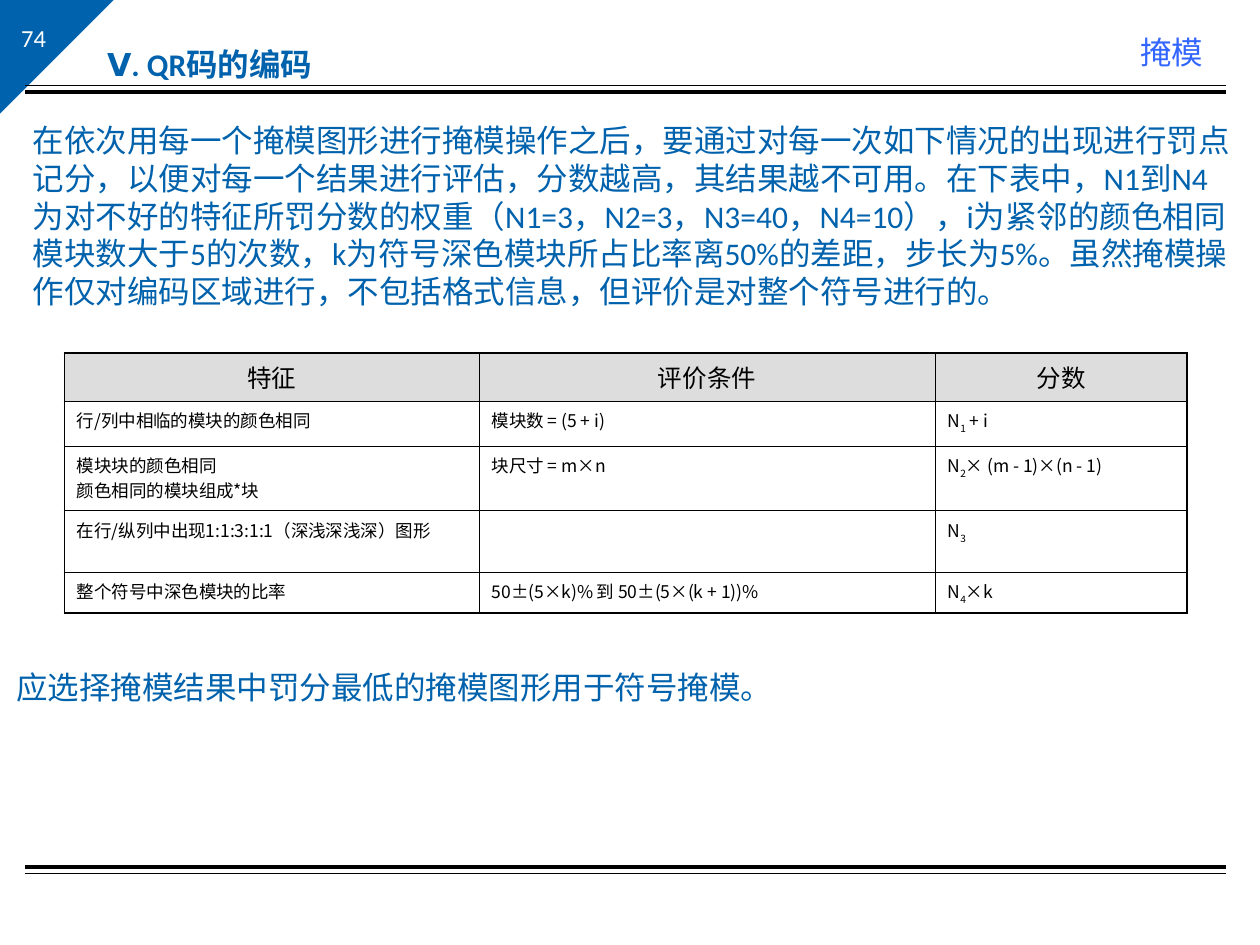
from dataclasses import dataclass

from lxml import etree
from pptx import Presentation
from pptx.dml.color import RGBColor as Rgb
from pptx.enum import shapes as kinds, text as txt
from pptx.oxml import ns
from pptx.util import Pt


@dataclass(frozen=True)
class Theme:
    """Hold the colours, fonts, type sizes and line widths."""
    blue: str = "0062AC"
    tag: str = "3366FF"
    black: str = "000000"
    white: str = "FFFFFF"
    grey: str = "DDDDDD"
    latin: str = "Calibri"
    cjk: str = "Noto Sans CJK SC"
    large: int = 18
    mid: int = 14
    small: int = 10
    thin: float = 0.75
    thick: float = 2.25
    outer: float = 0.96
    inner: float = 0.45


T = Theme()
ROWS = [
    ["特征", "评价条件", "分数"],
    ["行/列中相临的模块的颜色相同", "模块数 = (5 + i)", ("N", "1", " + i")],
    ["模块块的颜色相同\n颜色相同的模块组成*块", "块尺寸 = m×n",
     ("N", "2", "× (m - 1)×(n - 1)")],
    ["在行/纵列中出现1:1:3:1:1（深浅深浅深）图形", "", ("N", "3")],
    ["整个符号中深色模块的比率", "50±(5×k)% 到 50±(5×(k + 1))%",
     ("N", "4", "×k")],
]
BODY = (
    "在依次用每一个掩模图形进行掩模操作之后，要通过对每一次如下情况的出现进行罚点记分，"
    "以便对每一个结果进行评估，分数越高，其结果越不可用。在下表中，N1到N4为对不好的特征"
    "所罚分数的权重（N1=3，N2=3，N3=40，N4=10），i为紧邻的颜色相同模块数大于5的次数，"
    "k为符号深色模块所占比率离50%的差距，步长为5%。虽然掩模操作仅对编码区域进行，"
    "不包括格式信息，但评价是对整个符号进行的。"
)


def tint(hue):
    """Turn a hex string into a colour."""
    return Rgb.from_string(hue)


def add_run(para, words, size, hue, face=T.latin, bold=False, sub=False):
    """Add one styled run to a paragraph."""
    run = para.add_run()
    run.text = words
    font = run.font
    font.size, font.bold, font.name = Pt(size), bold, face
    font.color.rgb = tint(hue)
    props = run._r.get_or_add_rPr()
    etree.SubElement(props, ns.qn("a:ea"), typeface=T.cjk)
    if sub:
        props.set("baseline", "-30000")


def set_box(shape, box):
    """Move a shape to its box."""
    shape.left, shape.top, shape.width, shape.height = map(Pt, box)


def set_text(shape, words, size, hue, mid=False, wrap=True, bold=False):
    """Write one left-aligned paragraph into a shape."""
    frame = shape.text_frame
    frame.auto_size = txt.MSO_AUTO_SIZE.NONE
    frame.word_wrap = wrap
    anchor = txt.MSO_ANCHOR
    frame.vertical_anchor = anchor.MIDDLE if mid else anchor.TOP
    para = frame.paragraphs[0]
    para.alignment = txt.PP_ALIGN.LEFT
    para.space_before = Pt(0)
    add_run(para, words, size, hue, bold=bold)
    return para


def add_note(slide, box, words, size, hue, **style):
    """Add a text box with one paragraph."""
    shape = slide.shapes.add_textbox(*map(Pt, box))
    set_text(shape, words, size, hue, **style)


def add_rule(slide, left, right, y, width):
    """Draw one level line."""
    line = slide.shapes.add_connector(
        kinds.MSO_CONNECTOR.STRAIGHT, Pt(left), Pt(y), Pt(right), Pt(y))
    line.line.color.rgb = tint(T.black)
    line.line.width = Pt(width)
    etree.SubElement(line._element.spPr, ns.qn("a:effectLst"))


def add_frame(slide, box):
    """Draw the page corner and the double rules within a box."""
    left, top, width, height = box
    wedge = slide.shapes.add_shape(
        kinds.MSO_SHAPE.RIGHT_TRIANGLE, Pt(left), Pt(top), Pt(65), Pt(65))
    wedge.shadow.inherit = False
    wedge.fill.solid()
    wedge.fill.fore_color.rgb = tint(T.blue)
    wedge.line.fill.background()
    wedge._element.spPr.xfrm.set("flipV", "1")
    add_note(slide, (left + 5, top + 9.5, 168, 22), "74", T.mid, T.white)
    for y, thick in (49, T.thin), (52.8, T.thick), (495.2, T.thick), (499, T.thin):
        add_rule(slide, left + 14.4, left + width - 19.4, top + y, thick)


def add_head(slide, box):
    """Place the title and the topic tag in the head band."""
    left, top, width, height = box
    title = slide.shapes.title
    set_box(title, (left, top, 379.4, height))
    para = set_text(title, "Ⅴ. QR码的编码", T.large, T.blue, bold=True)
    para.line_spacing = 1.6
    props = para._p.get_or_add_pPr()
    props.set("marL", str(Pt(36)))
    props.set("indent", str(-Pt(36)))
    add_note(slide, (left + width - 50.4, top + 5.7, 50.4, 29),
             "掩模", T.large, T.tag, wrap=False)


def add_body(slide, box):
    """Place the main paragraph without a bullet."""
    body = slide.placeholders[1]
    set_box(body, box)
    para = body.text_frame.paragraphs[0]
    props = para._p.get_or_add_pPr()
    props.set("marL", "0")
    props.set("indent", "0")
    etree.SubElement(props, ns.qn("a:buNone"))
    set_text(body, BODY, T.large, T.blue, mid=True)


def set_edges(cell, sides):
    """Give a cell its four borders, heavy where the table ends."""
    props = cell._tc.get_or_add_tcPr()
    for i, (side, heavy) in enumerate(zip("LRTB", sides)):
        width = T.outer if heavy else T.inner
        line = etree.Element(ns.qn(f"a:ln{side}"), w=str(Pt(width)))
        fill = etree.SubElement(line, ns.qn("a:solidFill"))
        etree.SubElement(fill, ns.qn("a:srgbClr"), val=T.black)
        props.insert(i, line)


def fill_cell(cell, words, head):
    """Write a cell, with the second part of a tuple as subscript."""
    cell.fill.solid()
    cell.fill.fore_color.rgb = tint(T.grey if head else T.white)
    cell.margin_left = cell.margin_right = Pt(7.2)
    cell.margin_top = cell.margin_bottom = Pt(3.6)
    anchor = txt.MSO_ANCHOR
    cell.vertical_anchor = anchor.MIDDLE if head else anchor.TOP
    frame = cell.text_frame
    lines = [words] if isinstance(words, tuple) else [(x,) for x in words.split("\n")]
    for i, parts in enumerate(lines):
        para = frame.add_paragraph() if i else frame.paragraphs[0]
        para.alignment = txt.PP_ALIGN.CENTER if head else txt.PP_ALIGN.LEFT
        for j, part in enumerate(parts):
            if part:
                add_run(para, part, T.mid if head else T.small, T.black,
                        face=T.cjk, sub=j == 1)


def add_grid(slide, box):
    """Place the scoring table."""
    high, wide = len(ROWS), len(ROWS[0])
    grid = slide.shapes.add_table(high, wide, *map(Pt, box)).table
    grid.first_row = grid.horz_banding = False
    for col, width in zip(grid.columns, (237, 260.6, 144)):
        col.width = Pt(width)
    for row, height in zip(grid.rows, (24.4, 25.7, 37, 35, 21.5)):
        row.height = Pt(height)
    for r, row in enumerate(ROWS):
        for c, words in enumerate(row):
            cell = grid.cell(r, c)
            fill_cell(cell, words, r == 0)
            set_edges(cell, (c == 0, c == wide - 1, r == 0, r == high - 1))


def main():
    """Build and save the slide."""
    deck = Presentation()
    deck.slide_width, deck.slide_height = Pt(720), Pt(540)
    slide = deck.slides.add_slide(deck.slide_layouts[1])
    add_frame(slide, (0, 0, 720, 540))
    add_head(slide, (54, 9.4, 640.8, 41.8))
    add_body(slide, (11.5, 65.5, 700.6, 115.2))
    add_grid(slide, (36.8, 201.6, 641.6, 143.6))
    add_note(slide, (2.2, 378, 446.4, 29), "应选择掩模结果中罚分最低的掩模图形用于符号掩模。",
             T.large, T.blue, mid=True, wrap=False)
    deck.save("out.pptx")


if __name__ == "__main__":
    main()
